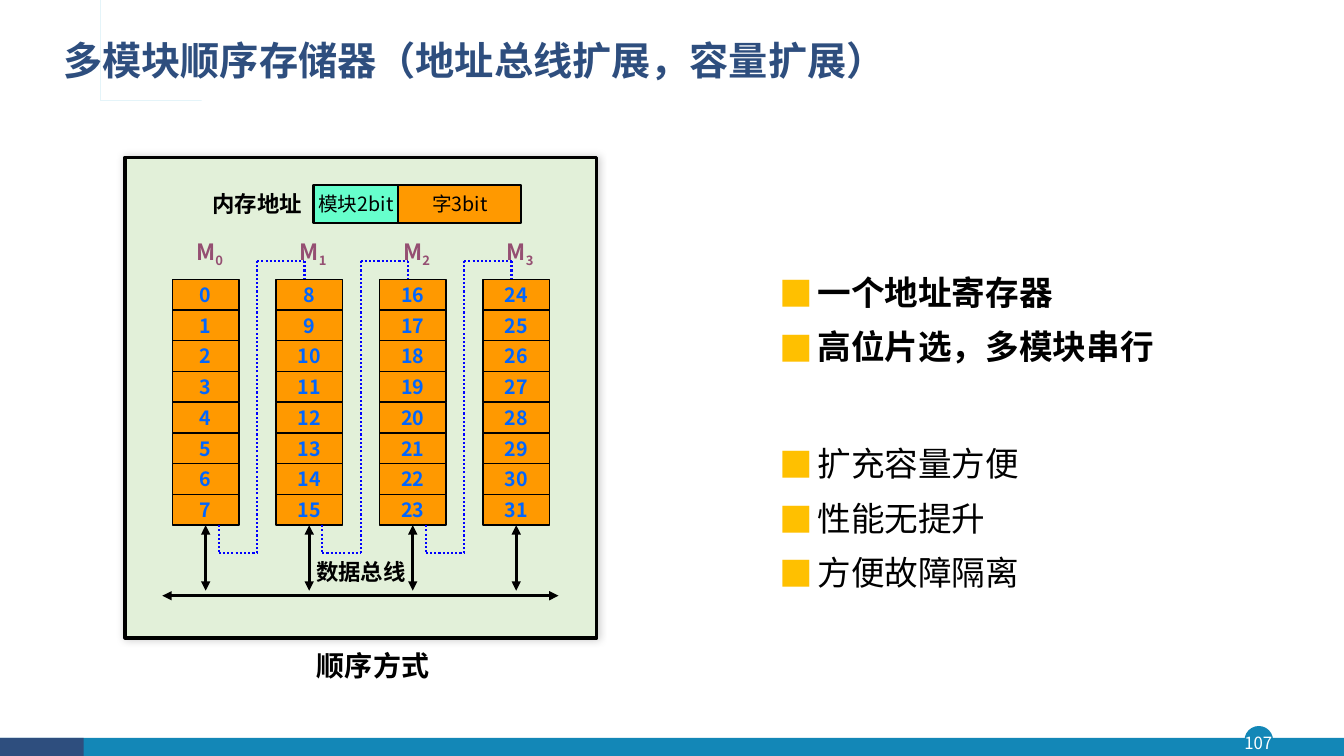
from itertools import pairwise
from lxml.etree import SubElement
from pptx import Presentation
from pptx.dml.color import RGBColor
from pptx.enum.dml import MSO_LINE
from pptx.enum.shapes import MSO_CONNECTOR, MSO_SHAPE
from pptx.enum.text import MSO_ANCHOR, PP_ALIGN
from pptx.oxml.ns import qn
from pptx.util import Inches, Pt

FONT = "Noto Sans CJK SC"
BLACK = RGBColor(0x00, 0x00, 0x00)
WHITE = RGBColor(0xFF, 0xFF, 0xFF)
NAVY = RGBColor(0x2E, 0x4E, 0x7E)
TEAL = RGBColor(0x13, 0x87, 0xB7)
SKY = RGBColor(0x28, 0xA9, 0xD6)
PALE = RGBColor(0xE2, 0xF0, 0xD9)
ORANGE = RGBColor(0xFF, 0x99, 0x00)
MINT = RGBColor(0x66, 0xFF, 0xCC)
AZURE = RGBColor(0x00, 0x66, 0xFF)
BLUE = RGBColor(0x00, 0x00, 0xFF)
PLUM = RGBColor(0x95, 0x4F, 0x72)

deck = Presentation()
deck.slide_width, deck.slide_height = Inches(13.33), Inches(7.5)
slide = deck.slides.add_slide(deck.slide_layouts[6])
shapes = slide.shapes


def block(kind, x, y, w, h, fill, edge=None, width=1):
    """Add a filled preset shape, outlined when an edge colour is given."""
    shape = shapes.add_shape(kind, Inches(x), Inches(y), Inches(w), Inches(h))
    shape.shadow.inherit = False
    shape.fill.solid()
    shape.fill.fore_color.rgb = fill
    if edge is None:
        shape.line.fill.background()
    else:
        shape.line.color.rgb = edge
        shape.line.width = Pt(width)
    return shape


def write(place, text, size, color, bold=False, align=PP_ALIGN.CENTER, sub=""):
    """Put text into a shape, or into a new text box at (x, y, w, h)."""
    if isinstance(place, tuple):
        frame = shapes.add_textbox(*map(Inches, place)).text_frame
        frame.word_wrap = True
    else:
        frame = place.text_frame
        frame.word_wrap = False
        frame.vertical_anchor = MSO_ANCHOR.MIDDLE
    frame.text = text
    if sub:
        low = frame.paragraphs[0].add_run()
        low.text = sub
        low.font._element.set("baseline", "-25000")
    for para in frame.paragraphs:
        para.alignment = align
        for run in para.runs:
            font = run.font
            font.size, font.bold, font.name = Pt(size), bold, FONT
            font.color.rgb = color
            SubElement(font._element, qn("a:ea"), typeface=FONT)
    return frame


# Footer and page number
block(MSO_SHAPE.OVAL, 12.35, 7.21, 0.27, 0.27, TEAL, TEAL)
block(MSO_SHAPE.RECTANGLE, 0, 7.32, 13.33, 0.18, TEAL)
block(MSO_SHAPE.RECTANGLE, 0, 7.32, 0.83, 0.18, NAVY)
page = write((12.32, 7.21, 0.32, 0.31), "107", 12, WHITE)
page.margin_left = page.margin_right = page.margin_top = page.margin_bottom = 0
page.vertical_anchor = MSO_ANCHOR.MIDDLE

# Title with its ornament
edge = [(0.54, 0.39), (0.54, 0.85), (1.87, 0.85), (1.87, 0.87), (0.52, 0.87),
        (0.52, 0.41), (0.47, 0.41), (0.47, 0.87), (0.36, 0.87), (0.36, 0.39),
        (0.39, 0.39), (0.39, 0.84), (0.44, 0.84), (0.44, 0.39)]
pen = shapes.build_freeform(*edge[0], scale=Inches(1))
pen.add_line_segments(edge[1:], close=True)
mark = pen.convert_to_shape()
mark.shadow.inherit = False
mark.fill.solid()
mark.fill.fore_color.rgb = SKY
mark.line.fill.background()
title = write((0.53, 0.28, 11.5, 0.68), "多模块顺序存储器（地址总线扩展，容量扩展）",
              28, NAVY, True, PP_ALIGN.LEFT)
title.vertical_anchor = MSO_ANCHOR.MIDDLE
title.paragraphs[0].line_spacing = 0.9

# Bullet list: the first two points are bold, a wider gap sets off the rest
points = ["一个地址寄存器", "高位片选，多模块串行", "扩充容量方便", "性能无提升", "方便故障隔离"]
notes = write((7.63, 2.65, 4.08, 3.73), "\n".join(points), 24, BLACK, False, PP_ALIGN.LEFT)
for i, para in enumerate(notes.paragraphs):
    props = para._p.get_or_add_pPr()
    props.set("marL", str(Inches(0.38)))
    props.set("indent", str(-Inches(0.38)))
    tint = SubElement(props, qn("a:buClr"))
    SubElement(tint, qn("a:srgbClr"), val="FFC000")
    SubElement(props, qn("a:buFont"), typeface=FONT)
    SubElement(props, qn("a:buChar"), char="■")
    para.space_before = Pt((0, 10, 54.6, 10, 10)[i])
    para.runs[0].font.bold = i < 2

# Diagram panel with a soft shadow
panel = block(MSO_SHAPE.RECTANGLE, 1.24, 1.56, 4.68, 4.77, PALE, BLACK, 2.25)
glow = SubElement(panel._element.spPr.find(qn("a:effectLst")), qn("a:outerShdw"),
                  blurRad=str(Pt(6)), dist="0", dir="18900000")
shade = SubElement(glow, qn("a:srgbClr"), val="000000")
SubElement(shade, qn("a:alpha"), val="20000")

# Memory modules: four columns of eight words
COLS, ROWS = 4, 8
LEFT, TOP, WIDE = 1.71, 2.77, 0.66
STEP, ROW = 3.08 / 3, 2.44 / 8
BASE = TOP + ROWS * ROW
lines = []
for col in range(COLS):
    x = LEFT + col * STEP
    for row in range(ROWS):
        cell = block(MSO_SHAPE.RECTANGLE, x, TOP + row * ROW, WIDE, ROW, ORANGE, BLACK)
        write(cell, str(col * ROWS + row), 14, AZURE, True)
    write((x + 0.09, 2.31, 0.56, 0.37), "M", 16, PLUM, True, sub=str(col))
    mid = x + WIDE / 2
    lines.append(((mid, BASE), (mid, 5.86), cell))
    if col < COLS - 1:
        path = [(0.46, BASE), (0.46, 5.49), (0.84, 5.49),
                (0.84, 2.59), (1.31, 2.59), (1.31, TOP)]
        lines += [((x + a, b), (x + c, d), None) for (a, b), (c, d) in pairwise(path)]
lines.append(((1.61, 5.91), (5.54, 5.91), panel))

# Bus arrows are solid, the address order between modules is dotted
for start, end, owner in lines:
    line = shapes.add_connector(MSO_CONNECTOR.STRAIGHT, *map(Inches, start + end))
    SubElement(line._element.spPr, qn("a:effectLst"))
    line.line.color.rgb = BLACK if owner else BLUE
    line.line.width = Pt(2.25 if owner else 1.5)
    if owner:
        for tip in ("a:headEnd", "a:tailEnd"):
            SubElement(line.line._get_or_add_ln(), qn(tip), type="triangle")
        if owner is not panel:
            line.begin_connect(owner, 2)
    else:
        line.line.dash_style = MSO_LINE.ROUND_DOT

# Address fields and captions
part = block(MSO_SHAPE.RECTANGLE, 3.11, 1.84, 0.84, 0.37, MINT, BLACK, 1.5)
write(part, "模块2bit", 14, BLACK)
word = block(MSO_SHAPE.RECTANGLE, 3.95, 1.84, 1.22, 0.37, ORANGE, BLACK, 1.5)
write(word, "字3bit", 14, BLACK)
write((1.94, 1.84, 1.22, 0.37), "内存地址", 16, BLACK, True)
write((2.97, 5.49, 1.22, 0.37), "数据总线", 16, BLACK, True)
write((2.86, 6.38, 1.68, 0.44), "顺序方式", 20, BLACK, True)

deck.save("out.pptx")
